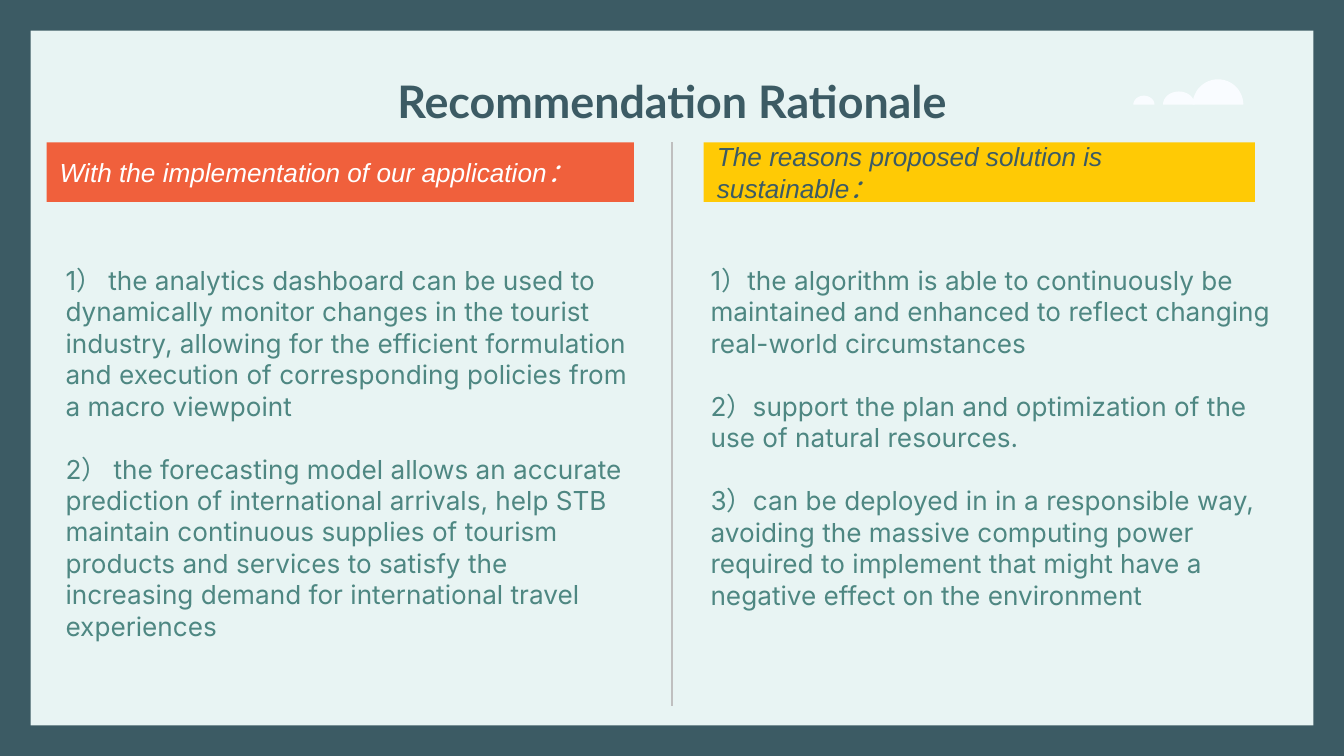
from math import cos, pi, sin

from lxml.etree import SubElement
from pptx import Presentation
from pptx.dml.color import RGBColor
from pptx.enum.shapes import MSO_CONNECTOR as Connector, MSO_SHAPE as Shape
from pptx.enum.text import MSO_ANCHOR as Anchor, MSO_AUTO_SIZE as AutoSize, PP_ALIGN as Align
from pptx.oxml.ns import qn
from pptx.util import Cm, Pt

COLORS = {
    "mint": "E8F4F3",
    "slate": "3C5B64",
    "cloud": "F9FCFF",
    "teal": "4E8782",
    "gray": "BFBFBF",
    "orange": "F0603C",
    "yellow": "FFCA05",
    "white": "FFFFFF",
}
WIDTH, HEIGHT = 25.4, 14.29
BORDER = 0.58
INSET = 0.25
COLUMN_TOP = 2.69


class PageBuilder:
    def __init__(self, deck):
        self.page = deck.slides.add_slide(deck.slide_layouts[5])

    def color(self, name):
        return RGBColor.from_string(COLORS[name])

    def background(self, color):
        fill = self.page.background.fill
        fill.solid()
        fill.fore_color.rgb = self.color(color)

    def paint(self, shape, color):
        shape.shadow.inherit = False
        shape.fill.solid()
        shape.fill.fore_color.rgb = self.color(color)
        shape.line.fill.background()

    def frame(self, box, anchor, right=INSET):
        frame = box.text_frame
        frame.word_wrap = True
        frame.auto_size = AutoSize.NONE
        frame.vertical_anchor = anchor
        frame.margin_left = frame.margin_top = frame.margin_bottom = Cm(INSET)
        frame.margin_right = Cm(right)
        return frame

    def add_text(self, para, text, font, size, color, bold=False, italic=False, align=Align.LEFT):
        para.alignment = align
        span = para.add_run()
        span.text = text
        span.font.name = font
        span.font.size = Pt(size)
        span.font.bold = bold
        span.font.italic = italic
        span.font.color.rgb = self.color(color)

    def title(self, text, left, top, width, height):
        box = self.page.shapes.title
        box.left, box.top, box.width, box.height = Cm(left), Cm(top), Cm(width), Cm(height)
        para = self.frame(box, Anchor.MIDDLE).paragraphs[0]
        self.add_text(para, text, "Lato", 24, "slate", bold=True, align=Align.CENTER)

    def rectangle(self, left, top, width, height, color):
        box = self.page.shapes.add_shape(Shape.RECTANGLE, Cm(left), Cm(top), Cm(width), Cm(height))
        self.paint(box, color)
        return box

    def heading(self, text, left, width, fill, color):
        box = self.rectangle(left, COLUMN_TOP, width, 1.13, fill)
        para = self.frame(box, Anchor.MIDDLE).paragraphs[0]
        self.add_text(para, text, "Arial", 14, color, italic=True)

    def points(self, texts, left):
        box = self.page.shapes.add_textbox(Cm(left), Cm(4.75), Cm(11.1), Cm(8.23))
        frame = self.frame(box, Anchor.TOP, right=0)
        for index, text in enumerate(texts):
            para = frame.add_paragraph() if index else frame.paragraphs[0]
            if index:
                para.space_before = Pt(17)
            self.add_text(para, text, "Inter", 14, "teal")

    def divider(self, x, top, bottom):
        line = self.page.shapes.add_connector(Connector.STRAIGHT, Cm(x), Cm(top), Cm(x), Cm(bottom))
        line.line.color.rgb = self.color("gray")
        line.line.width = Pt(0.75)
        SubElement(line._element.spPr, qn("a:effectLst"))

    def puff(self, center, base, width, height, steps=24):
        """Draw half an ellipse standing on its flat side."""
        outline = [
            (Cm(center - width / 2 * cos(pi * step / steps)), Cm(base - height * sin(pi * step / steps)))
            for step in range(steps + 1)
        ]
        builder = self.page.shapes.build_freeform(*outline[0])
        builder.add_line_segments(outline[1:], close=True)
        self.paint(builder.convert_to_shape(), "cloud")


def main():
    deck = Presentation()
    deck.slide_width, deck.slide_height = Cm(WIDTH), Cm(HEIGHT)
    page = PageBuilder(deck)
    page.background("mint")

    for left in (0, WIDTH - BORDER):
        page.rectangle(left, 0, BORDER, HEIGHT, "slate")
    for top in (0, HEIGHT - BORDER):
        page.rectangle(0, top, WIDTH, BORDER, "slate")

    for center, width, height in ((23.02, 0.96, 0.48), (22.28, 0.6, 0.25), (21.62, 0.4, 0.17)):
        page.puff(center, 1.98, width, height)

    page.title("Recommendation Rationale", 1.9, 1.48, 21.6, 0.84)
    page.divider(WIDTH / 2, COLUMN_TOP, 13.34)

    page.points([
        "1） the analytics dashboard can be used to dynamically monitor changes in the tourist industry, "
        "allowing for the efficient formulation and execution of corresponding policies from a macro viewpoint",
        "2） the forecasting model allows an accurate prediction of international arrivals, help STB maintain "
        "continuous supplies of tourism products and services to satisfy the increasing demand for "
        "international travel experiences",
    ], 0.99)
    page.points([
        "1）the algorithm is able to continuously be maintained and enhanced to reflect changing "
        "real-world circumstances",
        "2）support the plan and optimization of the use of natural resources.",
        "3）can be deployed in in a responsible way, avoiding the massive computing power required "
        "to implement that might have a negative effect on the environment",
    ], 13.18)

    page.heading("With the implementation of our application：", 0.88, 11.1, "orange", "white")
    page.heading("The reasons proposed solution is sustainable：", 13.3, 10.42, "yellow", "slate")

    deck.save("out.pptx")


if __name__ == "__main__":
    main()
